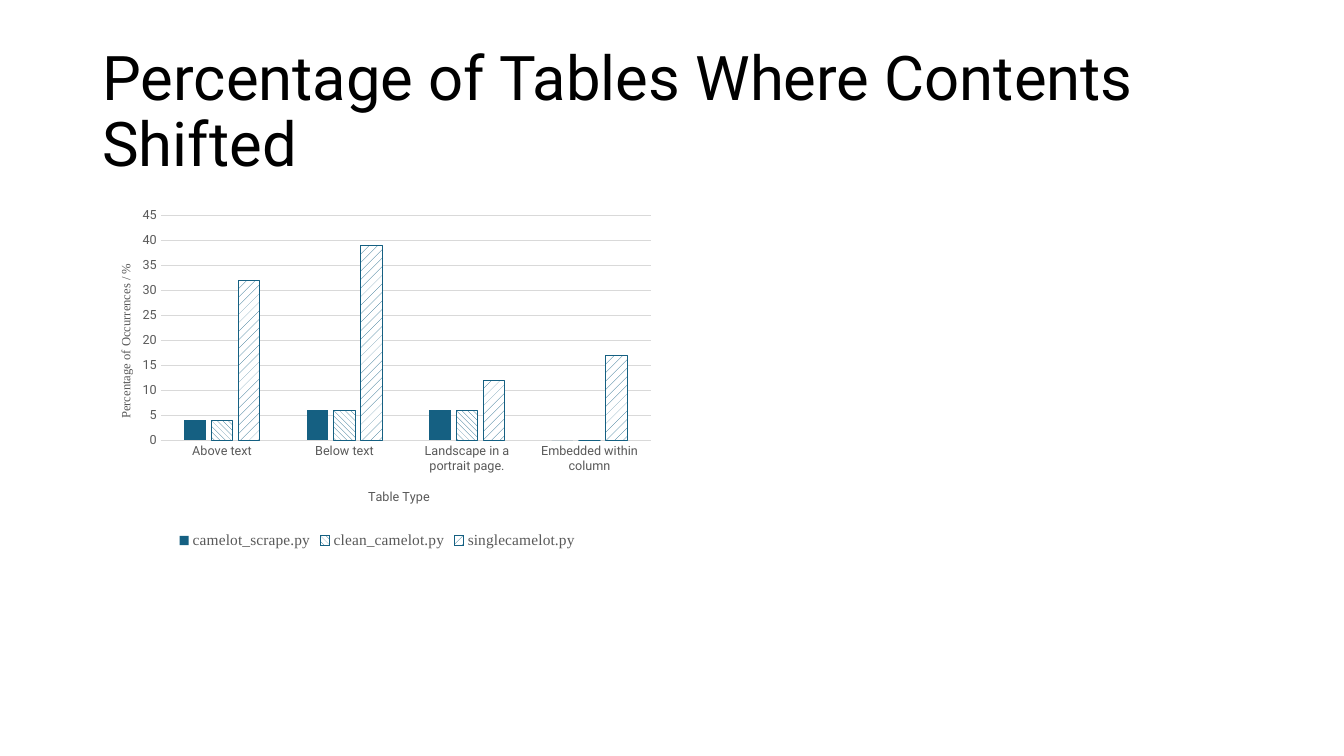
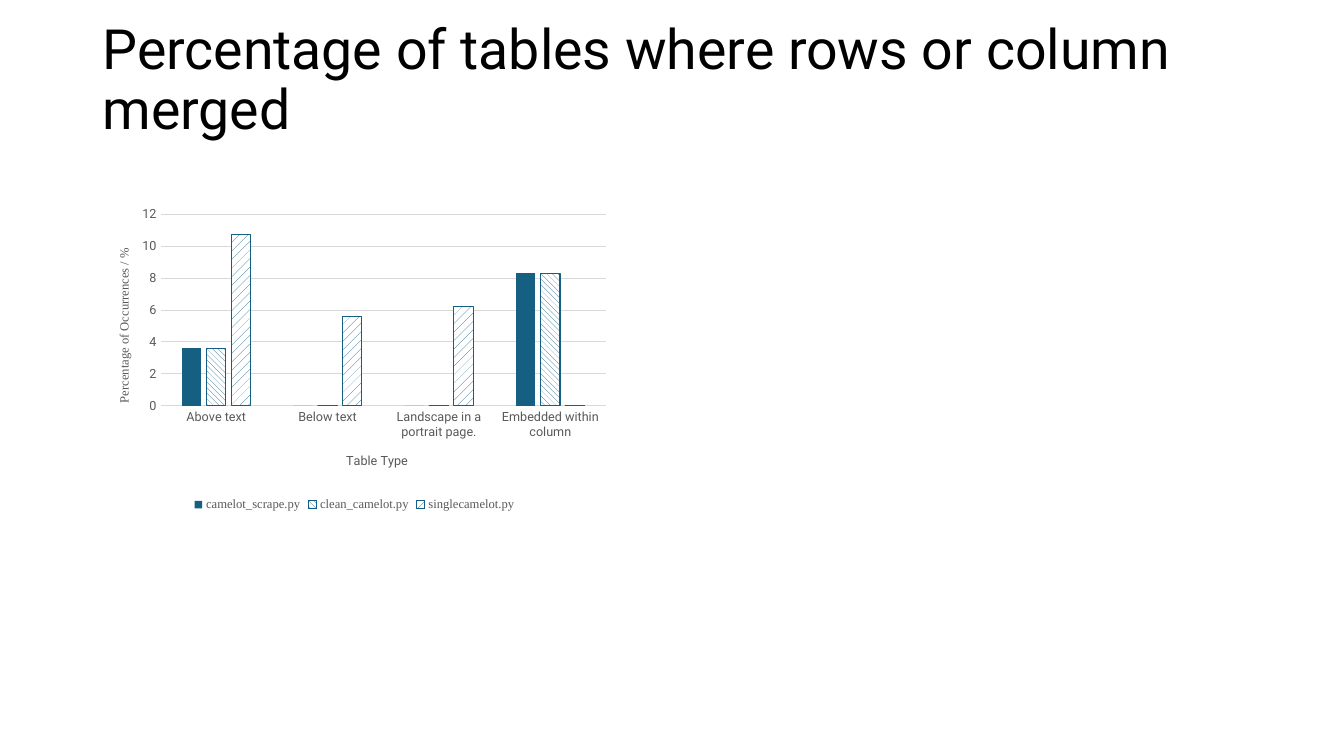
import pptx
import pptx.chart.data
import pptx.dml.color
import pptx.enum.chart
import pptx.enum.dml
import pptx.enum.text
import pptx.oxml
import pptx.oxml.ns
import pptx.util

Pt = pptx.util.Pt
RGBColor = pptx.dml.color.RGBColor
PATTERN = pptx.enum.dml.MSO_PATTERN

BLACK = RGBColor(0x00, 0x00, 0x00)
WHITE = RGBColor(0xFF, 0xFF, 0xFF)
TEAL = RGBColor(0x15, 0x60, 0x82)
GRAY = RGBColor(0x59, 0x59, 0x59)
RULE = RGBColor(0xD9, 0xD9, 0xD9)
SANS = "Roboto"
SERIF = "Times New Roman"

LEFT = 66
TITLE_BOX = (LEFT, 28.75, 828, 104.4)
TABLE_TYPES = ["Above text", "Below text", "Landscape in a portrait page.",
               "Embedded within column"]
# Script name and fill pattern of each series (None is a solid fill)
SCRIPTS = [("camelot_scrape.py", None),
           ("clean_camelot.py", PATTERN.WIDE_DOWNWARD_DIAGONAL),
           ("singlecamelot.py", PATTERN.PERCENT_20)]


def style_font(font, size, name, color):
    font.size, font.name, font.bold = Pt(size), name, False
    font.color.rgb = color


def manual_layout(**fractions):
    """Return a c:layout element placed in fractions of the chart."""
    inner = '<c:layoutTarget val="inner"/>' if "w" in fractions else ""
    modes = '<c:xMode val="edge"/><c:yMode val="edge"/>'
    values = "".join(f'<c:{key} val="{value}"/>' for key, value in fractions.items())
    return pptx.oxml.parse_xml(
        f'<c:layout {pptx.oxml.ns.nsdecls("c")}><c:manualLayout>'
        f'{inner}{modes}{values}</c:manualLayout></c:layout>')


def replace_layout(parent, layout, index):
    for old in parent.findall(pptx.oxml.ns.qn("c:layout")):
        parent.remove(old)
    parent.insert(index, layout)


def add_title(slide, box, text, size, lift):
    title = slide.shapes.title
    title.left, title.top, title.width, title.height = map(Pt, box)
    frame = title.text_frame
    frame.text = text
    frame.word_wrap = True
    frame.auto_size = pptx.enum.text.MSO_AUTO_SIZE.NONE
    frame.vertical_anchor = pptx.enum.text.MSO_ANCHOR.MIDDLE
    frame.margin_bottom = Pt(3.6 + lift)
    paragraph = frame.paragraphs[0]
    paragraph.alignment = pptx.enum.text.PP_ALIGN.LEFT
    paragraph.line_spacing = 0.9
    style_font(paragraph.font, size, SANS, BLACK)


def style_axis(axis, title, title_font, position):
    axis.major_tick_mark = pptx.enum.chart.XL_TICK_MARK.NONE
    axis.minor_tick_mark = pptx.enum.chart.XL_TICK_MARK.NONE
    style_font(axis.tick_labels.font, 9, SANS, GRAY)
    frame = axis.axis_title.text_frame
    frame.text = title
    style_font(frame.paragraphs[0].font, 9, title_font, GRAY)
    x, y = position
    replace_layout(axis.axis_title._element, manual_layout(x=x, y=y), 1)


def add_percentage_chart(slide, box, values, legend_size, plot_area,
                         type_title_at, percent_title_at):
    data = pptx.chart.data.CategoryChartData()
    data.categories = TABLE_TYPES
    for (script, _), percentages in zip(SCRIPTS, values):
        data.add_series(script, percentages)
    chart = slide.shapes.add_chart(
        pptx.enum.chart.XL_CHART_TYPE.COLUMN_CLUSTERED, *map(Pt, box), data).chart
    style_font(chart.font, 9, SANS, BLACK)
    chart.has_title = False

    # Columns
    plot = chart.plots[0]
    plot.gap_width, plot.overlap, plot.vary_by_categories = 219, -27, False
    for series, (_, pattern) in zip(plot.series, SCRIPTS):
        fill = series.format.fill
        if pattern is None:
            fill.solid()
            fill.fore_color.rgb = TEAL
            series.format.line.fill.background()
        else:
            fill.patterned()
            fill.pattern = pattern
            fill.fore_color.rgb, fill.back_color.rgb = TEAL, WHITE
            series.format.line.color.rgb = TEAL
            series.format.line.width = Pt(0.75)

    # Axes
    types, percent = chart.category_axis, chart.value_axis
    style_axis(types, "Table Type", SANS, type_title_at)
    style_axis(percent, "Percentage of Occurrences / %", SERIF, percent_title_at)
    percent.has_major_gridlines = True
    percent.format.line.fill.background()
    for line in (types.format.line, percent.major_gridlines.format.line):
        line.color.rgb = RULE
        line.width = Pt(0.75)

    # Legend and plot area
    chart.has_legend = True
    chart.legend.position = pptx.enum.chart.XL_LEGEND_POSITION.BOTTOM
    chart.legend.include_in_layout = False
    style_font(chart.legend.font, legend_size, SERIF, GRAY)
    x, y, w, h = plot_area
    area = chart._chartSpace.chart.plotArea
    replace_layout(area, manual_layout(x=x, y=y, w=w, h=h), 0)


def add_chart_slide(deck, title, title_size, title_lift, chart_size, **chart_parts):
    slide = deck.slides.add_slide(deck.slide_layouts[5])
    add_title(slide, TITLE_BOX, title, title_size, title_lift)
    add_percentage_chart(slide, (LEFT, 144, *chart_size), **chart_parts)


def main():
    deck = pptx.Presentation()
    deck.slide_width, deck.slide_height = Pt(960), Pt(540)
    add_chart_slide(
        deck, "Percentage of Tables Where Contents Shifted", 44, 0, (407, 251),
        values=[(4, 6, 6, 0), (4, 6, 6, 0), (32, 39, 12, 17)],
        legend_size=11, plot_area=(0.12, 0.04, 0.86, 0.64),
        type_title_at=(0.48, 0.81), percent_title_at=(0.04, 0.17))
    add_chart_slide(
        deck, "Percentage of tables where rows or column merged", 39.6, 45, (374.4, 224.6),
        values=[(3.6, 0, 0, 8.3), (3.6, 0, 0, 8.3), (10.7, 5.6, 6.2, 0)],
        legend_size=9, plot_area=(0.13, 0.04, 0.85, 0.61),
        type_title_at=(0.48, 0.79), percent_title_at=(0.04, 0.14))
    deck.save("out.pptx")


if __name__ == "__main__":
    main()
